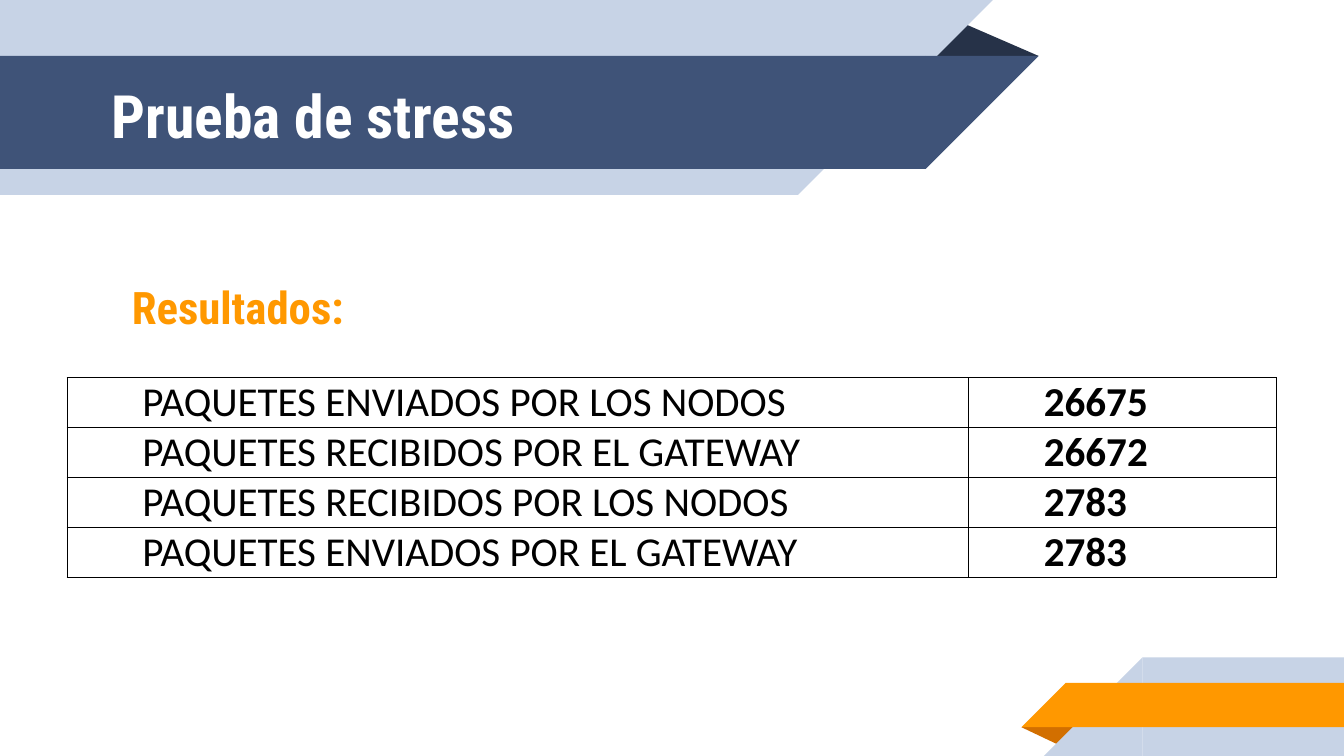
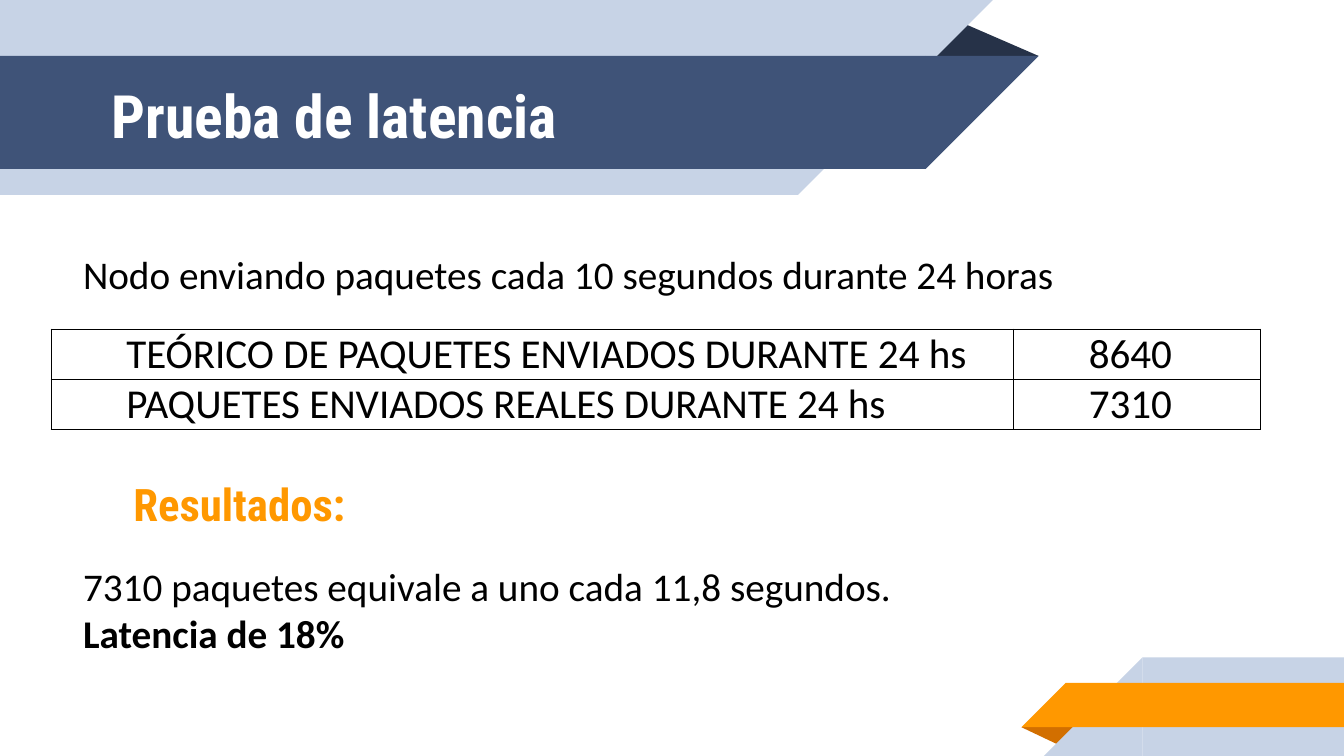
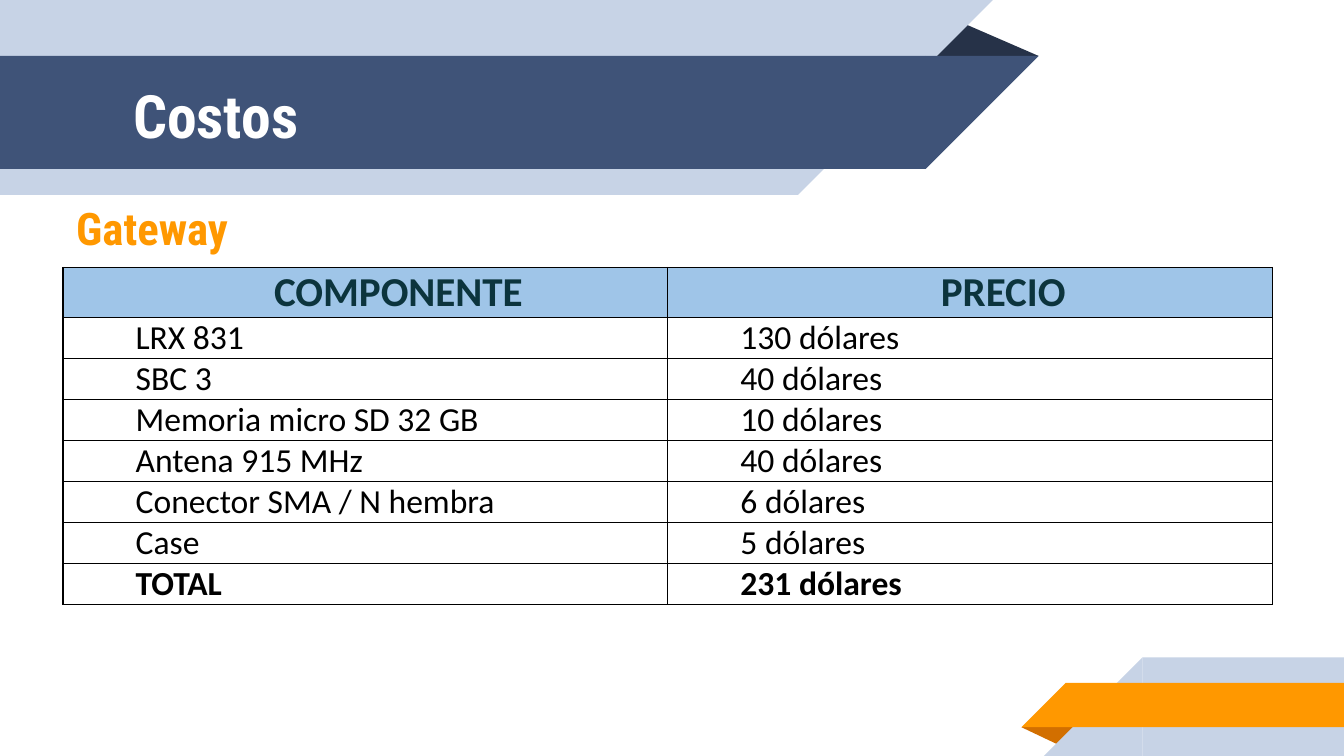
from dataclasses import dataclass

from lxml import etree
from pptx import Presentation
from pptx.dml.color import RGBColor
from pptx.enum import shapes, text
from pptx.oxml import ns
from pptx.util import Pt


@dataclass(frozen=True)
class Theme:
    navy: str = "3F5378"
    dark: str = "263248"
    pale: str = "C7D3E6"
    gold: str = "FF9800"
    rust: str = "D26F00"
    sky: str = "9FC5E8"
    teal: str = "0C343D"
    ink: str = "000000"
    white: str = "FFFFFF"
    head: str = "Roboto Condensed"
    body: str = "Calibri"
    title: int = 32
    sub: int = 24
    cell: int = 22
    note: int = 21
    item: int = 18


T = Theme()
WIDE, HIGH = 720, 405
INSET = 7.2
INDENT = 35.3
TALL, LOW = 26.8, 22  # row heights

RECT = shapes.MSO_SHAPE.RECTANGLE
WEDGE = shapes.MSO_SHAPE.RIGHT_TRIANGLE
FOLD = shapes.MSO_SHAPE.ISOSCELES_TRIANGLE
ALIGN = text.PP_ALIGN
ANCHOR = text.MSO_ANCHOR

# Ribbons: kind, colour, box, flip or turn
BANDS = [
    (FOLD, T.dark, (495.5, 12, 61, 18), None),
    (RECT, T.pale, (0, 0, 427.5, 104.4), None),
    (WEDGE, T.pale, (427.5, 0, 104.4, 104.4), "flipV"),
    (RECT, T.navy, (0, 30, 496, 60.5), None),
    (WEDGE, T.navy, (496, 30, 60.5, 60.5), "flipV"),
    (FOLD, T.rust, (547.2, 389.6, 31, 10), "turn"),
    (RECT, T.pale, (612, 352.2, 108, 52.8), None),
    (WEDGE, T.pale, (559.2, 352.2, 52.8, 52.8), "flipH"),
    (RECT, T.gold, (571, 365.8, 149, 23.8), None),
    (WEDGE, T.gold, (547.2, 365.8, 23.8, 23.8), "flipH"),
]

# Slide content
SLIDES = [
    dict(
        title="Prueba de stress", left=52.6,
        head=("Resultados:", (26.6, 131, 201.6, 66.2), ALIGN.CENTER),
        grid=dict(
            at=(36, 202.3), cols=(483, 165), pad=5, bold="last column",
            rows=[
                ("PAQUETES ENVIADOS POR LOS NODOS", "26675"),
                ("PAQUETES RECIBIDOS POR EL GATEWAY", "26672"),
                ("PAQUETES RECIBIDOS POR LOS NODOS", "2783"),
                ("PAQUETES ENVIADOS POR EL GATEWAY", "2783"),
            ]),
    ),
    dict(
        title="Prueba de latencia", left=52.6,
        head=("Resultados:", (27.4, 249.1, 201.6, 41), ALIGN.CENTER),
        grid=dict(
            at=(27.4, 176.4), cols=(515.6, 132.4), pad=5, bold=None,
            rows=[
                ("TEÓRICO DE PAQUETES ENVIADOS DURANTE 24 hs", "8640"),
                ("PAQUETES ENVIADOS REALES DURANTE 24 hs", "7310"),
            ]),
        notes=[
            ((37.4, 126.7, 575.3, 41),
             [("Nodo enviando paquetes cada 10 segundos durante 24 horas", False)]),
            ((37.4, 293.8, 514, 72.7),
             [("7310 paquetes equivale a uno cada 11,8 segundos.", False),
              ("Latencia de 18%", True)]),
        ],
    ),
    dict(
        title="Costos", left=64.1,
        head=("Gateway", (33.8, 99.4, 201.6, 44.6), ALIGN.LEFT),
        grid=dict(
            at=(33.8, 143.3), cols=(324, 324), pad=3.6, bold="last row",
            top=("COMPONENTE", "PRECIO"),
            rows=[
                ("LRX 831", "130 dólares"),
                ("SBC 3", "40 dólares"),
                ("Memoria micro SD 32 GB", "10 dólares"),
                ("Antena 915 MHz", "40 dólares"),
                ("Conector SMA / N hembra", "6 dólares"),
                ("Case", "5 dólares"),
                ("TOTAL", "231 dólares"),
            ]),
    ),
]


def rgb(color):
    return RGBColor.from_string(color)


def pts(box):
    return [Pt(n) for n in box]


def style(para, face, size, color, bold=False, align=ALIGN.LEFT):
    para.alignment = align
    font = para.font
    font.name, font.size, font.bold = face, Pt(size), bold
    font.color.rgb = rgb(color)


def frame(shape, anchor):
    tf = shape.text_frame
    tf.word_wrap = True
    tf.auto_size = text.MSO_AUTO_SIZE.NONE
    tf.vertical_anchor = anchor
    tf.margin_left = tf.margin_right = Pt(INSET)
    tf.margin_top = tf.margin_bottom = Pt(INSET)
    return tf


def add_bands(slide):
    """Draw the ribbons, then move them to the layout all slides share."""
    layout = slide.slide_layout
    for mark in list(layout.placeholders):
        if mark.placeholder_format.idx >= 10:
            mark.element.getparent().remove(mark.element)
    for spot, (kind, color, box, turn) in enumerate(BANDS, 2):
        band = slide.shapes.add_shape(kind, *pts(box))
        band.shadow.inherit = False
        band.fill.solid()
        band.fill.fore_color.rgb = rgb(color)
        band.line.fill.background()
        if kind == FOLD:
            band.adjustments[0] = 0.32
        if turn == "turn":
            band.rotation = 180
        elif turn:
            band.element.spPr.find(ns.qn("a:xfrm")).set(turn, "1")
        layout.shapes.element.insert(spot, band.element)


def add_title(slide, words, left):
    box = slide.shapes.title
    box.left, box.top, box.width, box.height = pts((left, 31, 440, 60.5))
    tf = frame(box, ANCHOR.MIDDLE)
    tf.text = words
    style(tf.paragraphs[0], T.head, T.title, T.white, True)


def add_head(slide, words, box, align):
    tf = frame(slide.shapes.add_textbox(*pts(box)), ANCHOR.MIDDLE)
    tf.text = words
    style(tf.paragraphs[0], T.head, T.sub, T.gold, True, align)


def add_note(slide, box, lines):
    tf = frame(slide.shapes.add_textbox(*pts(box)), ANCHOR.TOP)
    tf.text = "\n".join(words for words, _ in lines)
    for para, (_, bold) in zip(tf.paragraphs, lines):
        style(para, T.body, T.note, T.ink, bold)


def add_edges(cell):
    props = cell._tc.get_or_add_tcPr()
    for side in ("lnL", "lnR", "lnT", "lnB"):
        line = etree.SubElement(props, ns.qn("a:" + side), w=str(Pt(0.75)))
        fill = etree.SubElement(line, ns.qn("a:solidFill"))
        etree.SubElement(fill, ns.qn("a:srgbClr"), val=T.ink)


def add_grid(slide, at, cols, pad, bold, rows, top=None):
    data = [top, *rows] if top else rows
    size, high = (T.item, LOW) if top else (T.cell, TALL)
    highs = [TALL if top and r == 0 else high for r in range(len(data))]
    table = slide.shapes.add_table(
        len(data), len(cols), *pts((*at, sum(cols), sum(highs)))).table
    table.first_row = table.horz_banding = False
    for col, wide in zip(table.columns, cols):
        col.width = Pt(wide)
    for r, line in enumerate(data):
        table.rows[r].height = Pt(highs[r])
        for c, words in enumerate(line):
            cell = table.cell(r, c)
            cell.margin_left = cell.margin_right = Pt(pad)
            cell.margin_top = cell.margin_bottom = 0
            add_edges(cell)
            cell.text = words
            para = cell.text_frame.paragraphs[0]
            para._p.get_or_add_pPr().set("indent", str(Pt(INDENT)))
            if top and r == 0:
                cell.fill.solid()
                cell.fill.fore_color.rgb = rgb(T.sky)
                cell.vertical_anchor = ANCHOR.MIDDLE
                style(para, T.body, T.cell, T.teal, True, ALIGN.CENTER)
                continue
            cell.fill.background()
            cell.vertical_anchor = ANCHOR.BOTTOM if top else ANCHOR.TOP
            strong = (bold == "last row" and r == len(data) - 1
                      or bold == "last column" and c == len(cols) - 1)
            style(para, T.body, size, T.ink, strong,
                  ALIGN.LEFT if top else ALIGN.JUSTIFY)


def main():
    deck = Presentation()
    deck.slide_width, deck.slide_height = Pt(WIDE), Pt(HIGH)
    for n, page in enumerate(SLIDES):
        slide = deck.slides.add_slide(deck.slide_layouts[5])
        if n == 0:
            add_bands(slide)
        add_title(slide, page["title"], page["left"])
        add_grid(slide, **page["grid"])
        add_head(slide, *page["head"])
        for box, lines in page.get("notes", []):
            add_note(slide, box, lines)
    deck.save("out.pptx")


if __name__ == "__main__":
    main()
